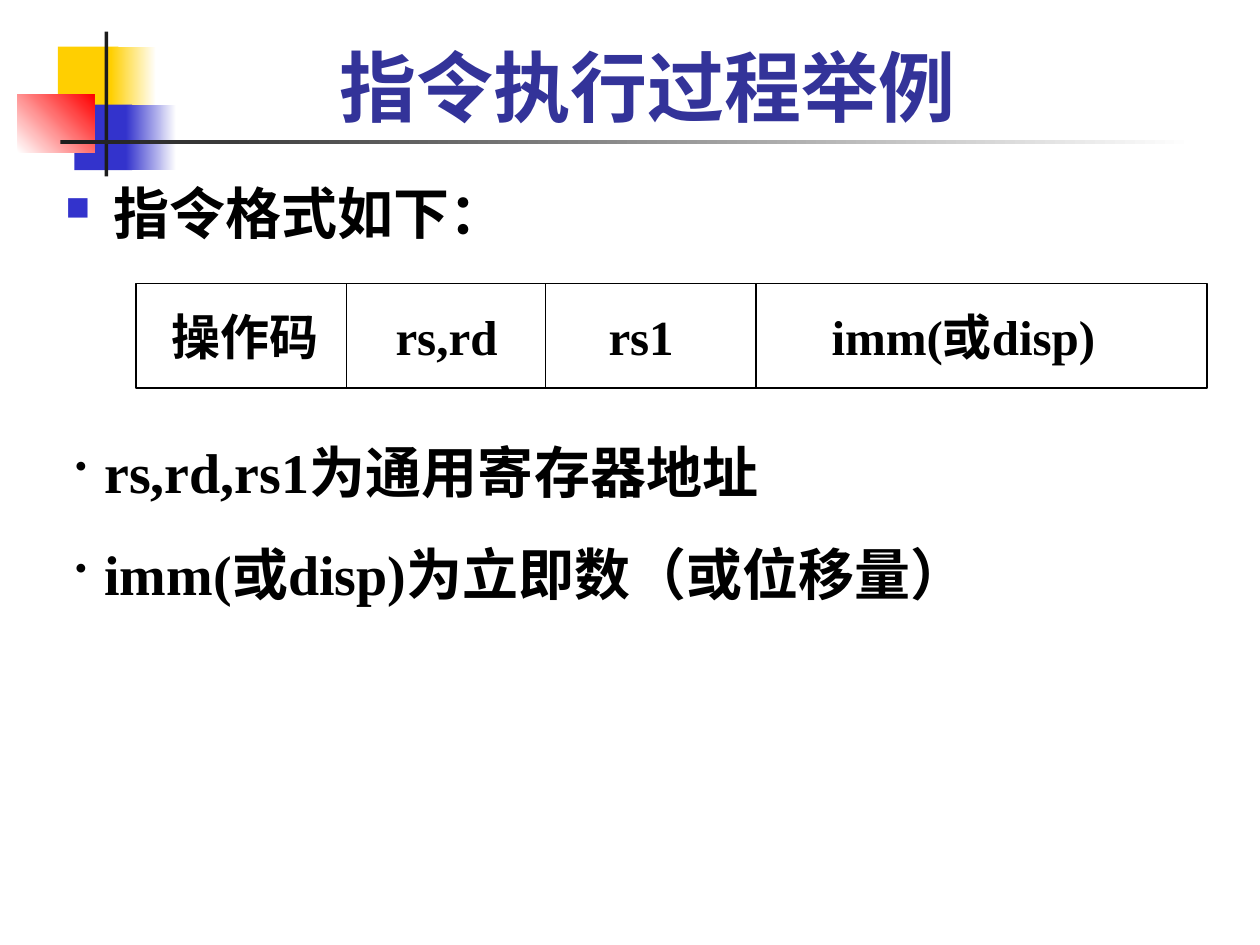
from dataclasses import dataclass

from lxml import etree
from pptx import Presentation
from pptx.dml.color import RGBColor
from pptx.enum.shapes import MSO_CONNECTOR, MSO_SHAPE
from pptx.enum.text import MSO_ANCHOR, PP_ALIGN
from pptx.oxml.ns import qn
from pptx.util import Inches, Pt

RECTANGLE = MSO_SHAPE.RECTANGLE
STRAIGHT = MSO_CONNECTOR.STRAIGHT
LEFT, CENTER = PP_ALIGN.LEFT, PP_ALIGN.CENTER
TOP, MIDDLE, BOTTOM = MSO_ANCHOR.TOP, MSO_ANCHOR.MIDDLE, MSO_ANCHOR.BOTTOM

SANS, SERIF = "Roboto", "Times New Roman"
BLACK, WHITE, CHARCOAL = "000000", "FFFFFF", "1C1C1C"
YELLOW, BLUE, RED, NAVY = "FFCF01", "3333CC", "FF0000", "333399"


@dataclass
class Block:
    left: float
    top: float
    width: float
    height: float
    color: str
    end_color: str | None = None
    angle: float = 0


@dataclass
class Bullet:
    character: str
    color: str
    indent: float
    size_percent: int = 60


DECORATION = [
    Block(0.46, 0.37, 0.48, 0.52, YELLOW),
    Block(0.88, 0.37, 0.36, 0.52, YELLOW, WHITE),
    Block(0.59, 0.83, 0.46, 0.52, BLUE),
    Block(1, 0.83, 0.4, 0.52, BLUE, WHITE),
    Block(0.14, 0.75, 0.61, 0.46, WHITE, RED, angle=45),
    Block(0.83, 0.25, 0.03, 1.15, CHARCOAL),
    Block(0.48, 1.11, 9, 0.03, CHARCOAL, WHITE),
]

FORMAT_BOX = Block(1.08, 2.25, 8.5, 0.83, WHITE)
FIELDS = ["操作码", "rs,rd", "rs1", "imm(或disp)"]
FIELD_STARTS = [1.36, 3.14, 4.83, 6.6]
DIVIDERS = [2.75, 4.33, 6]


def rgb(color: str) -> RGBColor:
    return RGBColor.from_string(color)


def add_block(shapes, block: Block):
    shape = shapes.add_shape(RECTANGLE, Inches(block.left), Inches(block.top),
                             Inches(block.width), Inches(block.height))
    shape.shadow.inherit = False
    shape.line.fill.background()
    if block.end_color is None:
        shape.fill.solid()
        shape.fill.fore_color.rgb = rgb(block.color)
    else:
        shape.fill.gradient()
        shape.fill.gradient_angle = block.angle
        for stop, color in zip(shape.fill.gradient_stops, (block.color, block.end_color)):
            stop.color.rgb = rgb(color)
    return shape


def add_bullet(paragraph, bullet: Bullet) -> None:
    properties = paragraph._p.get_or_add_pPr()
    properties.set("marL", str(Inches(bullet.indent)))
    properties.set("indent", str(-Inches(bullet.indent)))
    color = etree.SubElement(properties, qn("a:buClr"))
    etree.SubElement(color, qn("a:srgbClr"), val=bullet.color)
    etree.SubElement(properties, qn("a:buSzPct"), val=str(bullet.size_percent * 1000))
    etree.SubElement(properties, qn("a:buChar"), char=bullet.character)


def add_tabs(paragraph, positions: list[float]) -> None:
    tabs = etree.SubElement(paragraph._p.get_or_add_pPr(), qn("a:tabLst"))
    for position in positions:
        etree.SubElement(tabs, qn("a:tab"), pos=str(Inches(position)), algn="l")


def write_text(shape, text: str, *, size: float, font: str, color: str = BLACK,
               align=LEFT, anchor=TOP, space_before: float = 0,
               bullet: Bullet | None = None, tabs: list[float] | None = None) -> None:
    """Write each line of text as a bold paragraph; space_before goes between them."""
    frame = shape.text_frame
    frame.word_wrap = True
    frame.vertical_anchor = anchor
    for index, line in enumerate(text.split("\n")):
        paragraph = frame.add_paragraph() if index else frame.paragraphs[0]
        paragraph.alignment = align
        if index:
            paragraph.space_before = Pt(space_before)
        if bullet:
            add_bullet(paragraph, bullet)
        if tabs:
            add_tabs(paragraph, tabs)
        run = paragraph.add_run()
        run.text = line
        run.font.size = Pt(size)
        run.font.name = font
        run.font.bold = True
        run.font.color.rgb = rgb(color)


def add_text(shapes, left: float, top: float, width: float, height: float,
             text: str, **text_format) -> None:
    box = shapes.add_textbox(Inches(left), Inches(top), Inches(width), Inches(height))
    write_text(box, text, **text_format)


def outline(line) -> None:
    line.color.rgb = rgb(BLACK)
    line.width = Pt(0.75)


def add_divider(shapes, x: float, top: float, bottom: float) -> None:
    connector = shapes.add_connector(STRAIGHT, Inches(x), Inches(top), Inches(x), Inches(bottom))
    outline(connector.line)
    etree.SubElement(connector._element.spPr, qn("a:effectLst"))


def add_instruction_format(slide) -> None:
    shapes = slide.shapes.add_group_shape().shapes
    box = add_block(shapes, FORMAT_BOX)
    outline(box.line)
    first, *others = FIELD_STARTS
    box.text_frame.margin_left = Inches(first - FORMAT_BOX.left)
    write_text(box, "\t".join(FIELDS), size=28, font=SERIF, anchor=MIDDLE,
               tabs=[start - first for start in others])
    for x in DIVIDERS:
        add_divider(shapes, x, FORMAT_BOX.top, FORMAT_BOX.top + FORMAT_BOX.height)


def main() -> None:
    presentation = Presentation()
    presentation.slide_width = Inches(10)
    presentation.slide_height = Inches(7.5)
    slide = presentation.slides.add_slide(presentation.slide_layouts[6])

    for block in DECORATION:
        add_block(slide.shapes, block)
    add_text(slide.shapes, 0.5, 0.17, 9.28, 0.93, "指令执行过程举例",
             size=44, font=SANS, color=NAVY, align=CENTER, anchor=BOTTOM)
    add_text(slide.shapes, 0.42, 1.37, 9.38, 0.79, "指令格式如下：",
             size=32, font=SANS, bullet=Bullet("■", BLUE, 0.38))
    add_instruction_format(slide)
    add_text(slide.shapes, 0.5, 3.42, 9.08, 1.45,
             "rs,rd,rs1为通用寄存器地址\nimm(或disp)为立即数（或位移量）",
             size=32, font=SERIF, space_before=20, bullet=Bullet("•", BLACK, 0.23))

    presentation.save("out.pptx")


if __name__ == "__main__":
    main()
